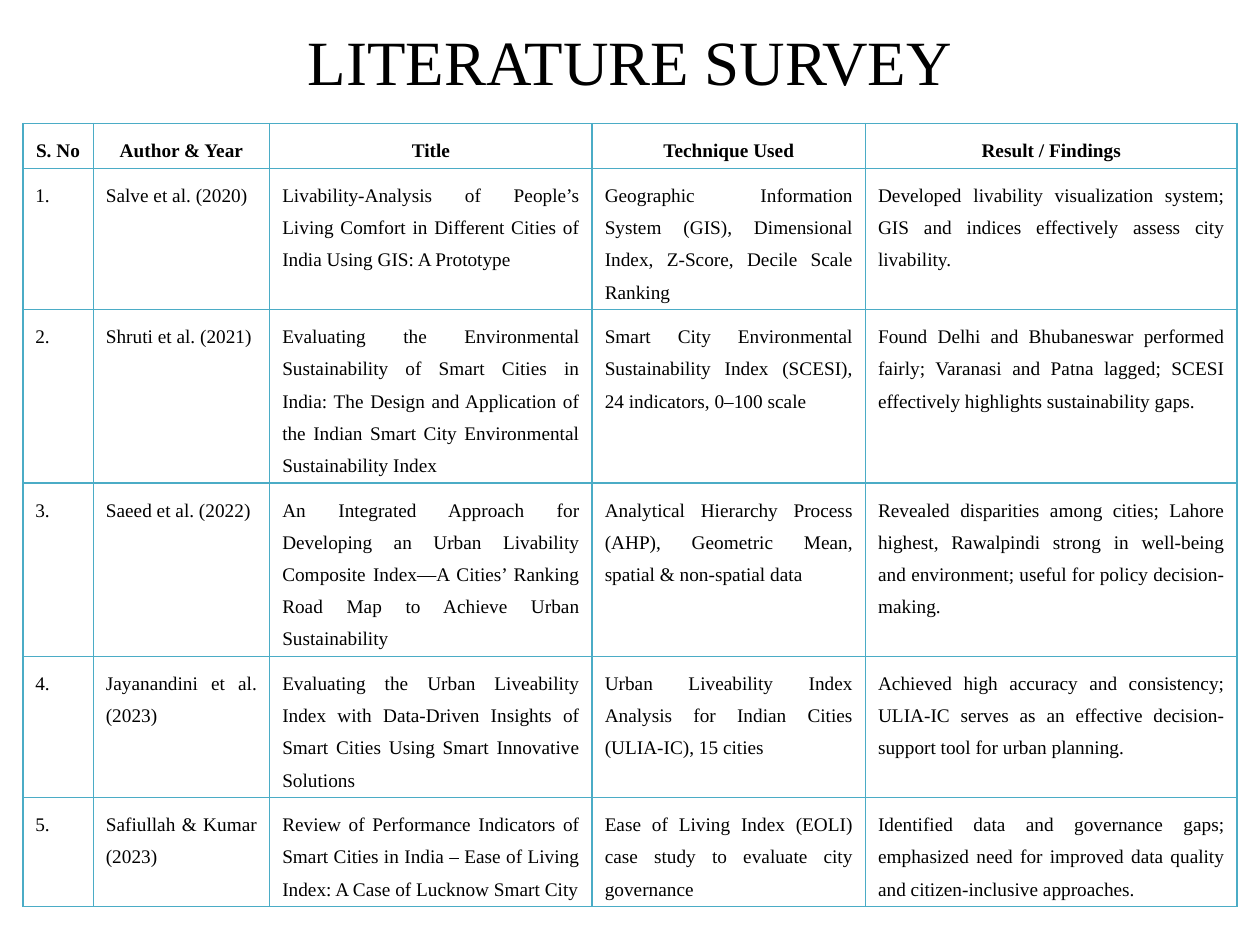
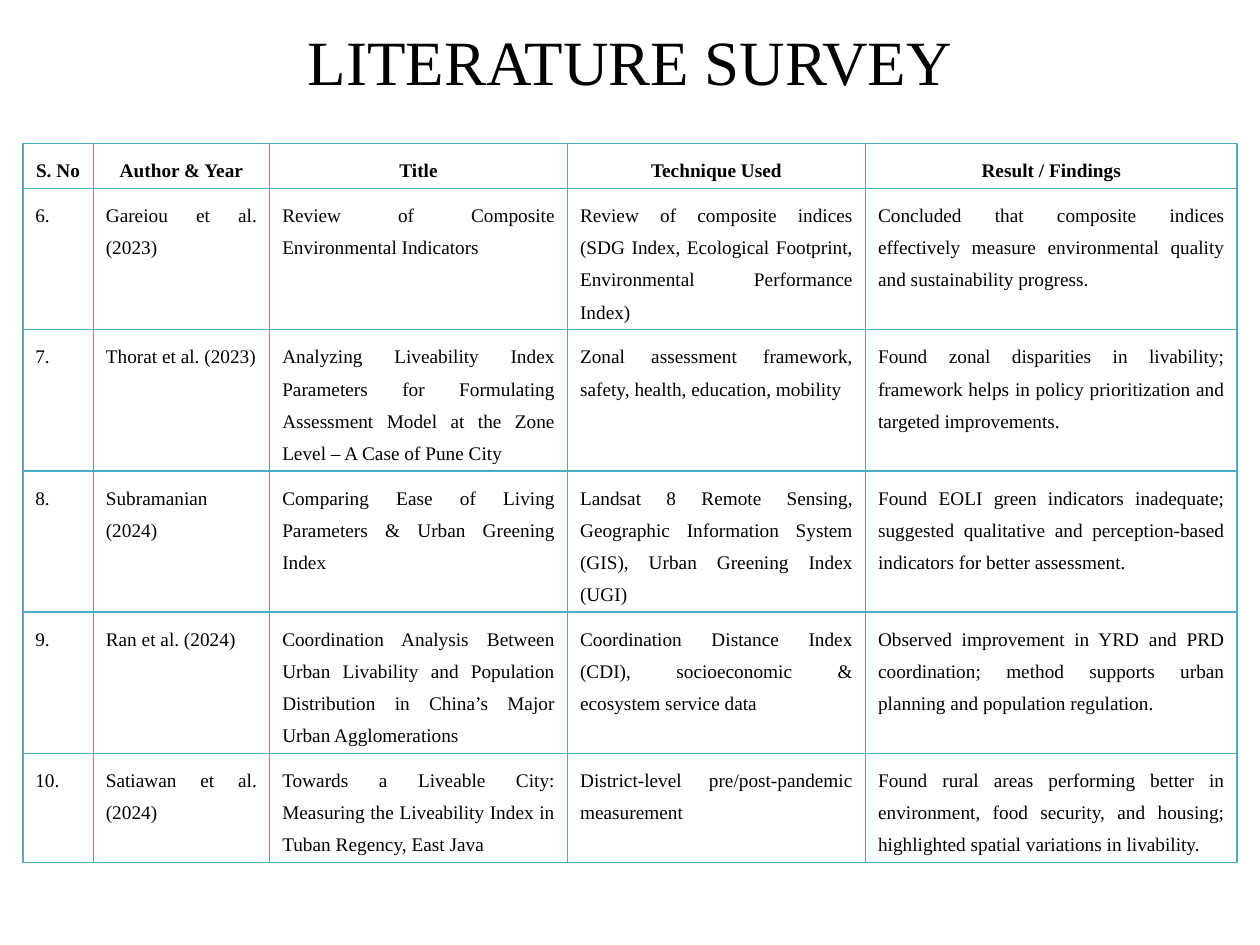
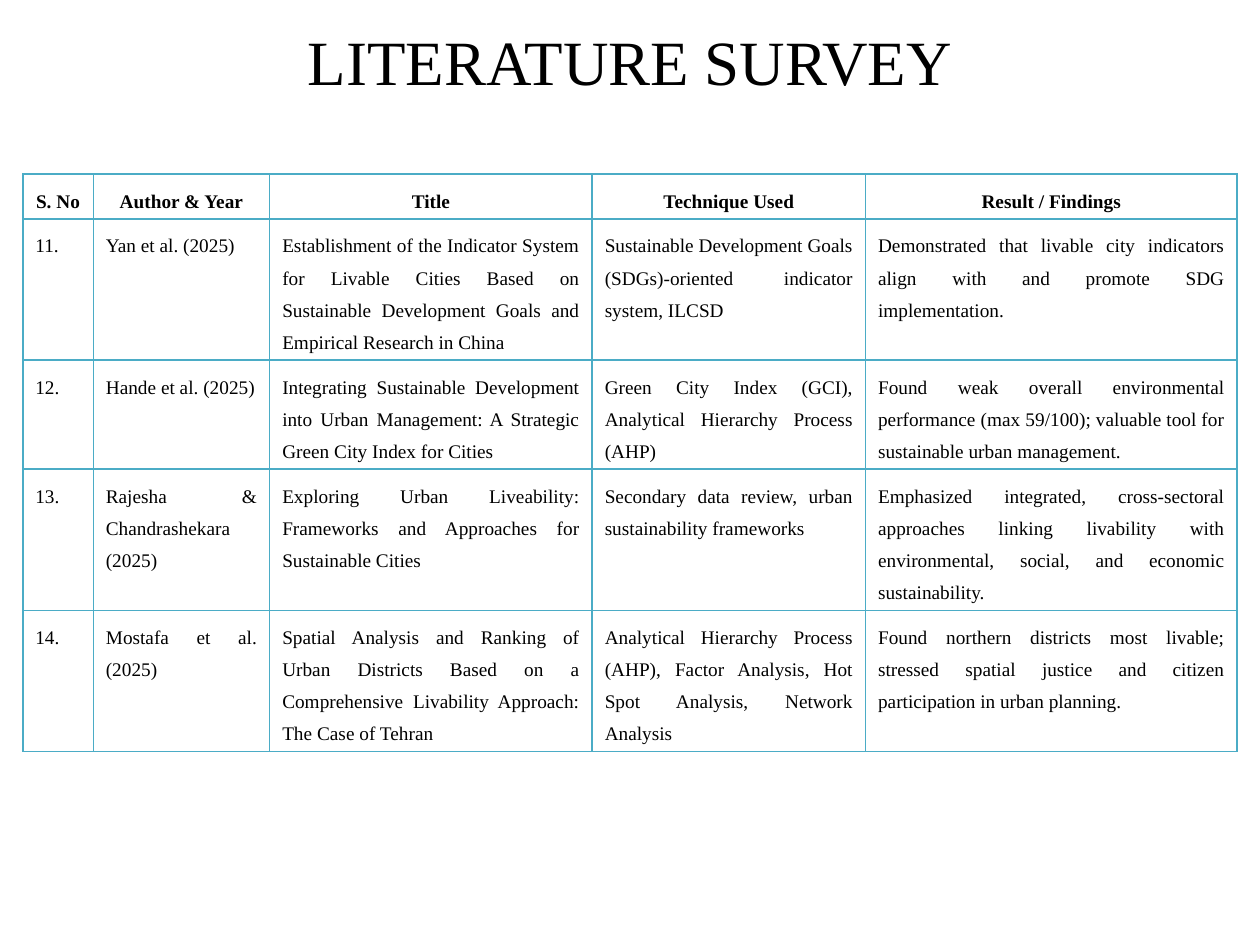
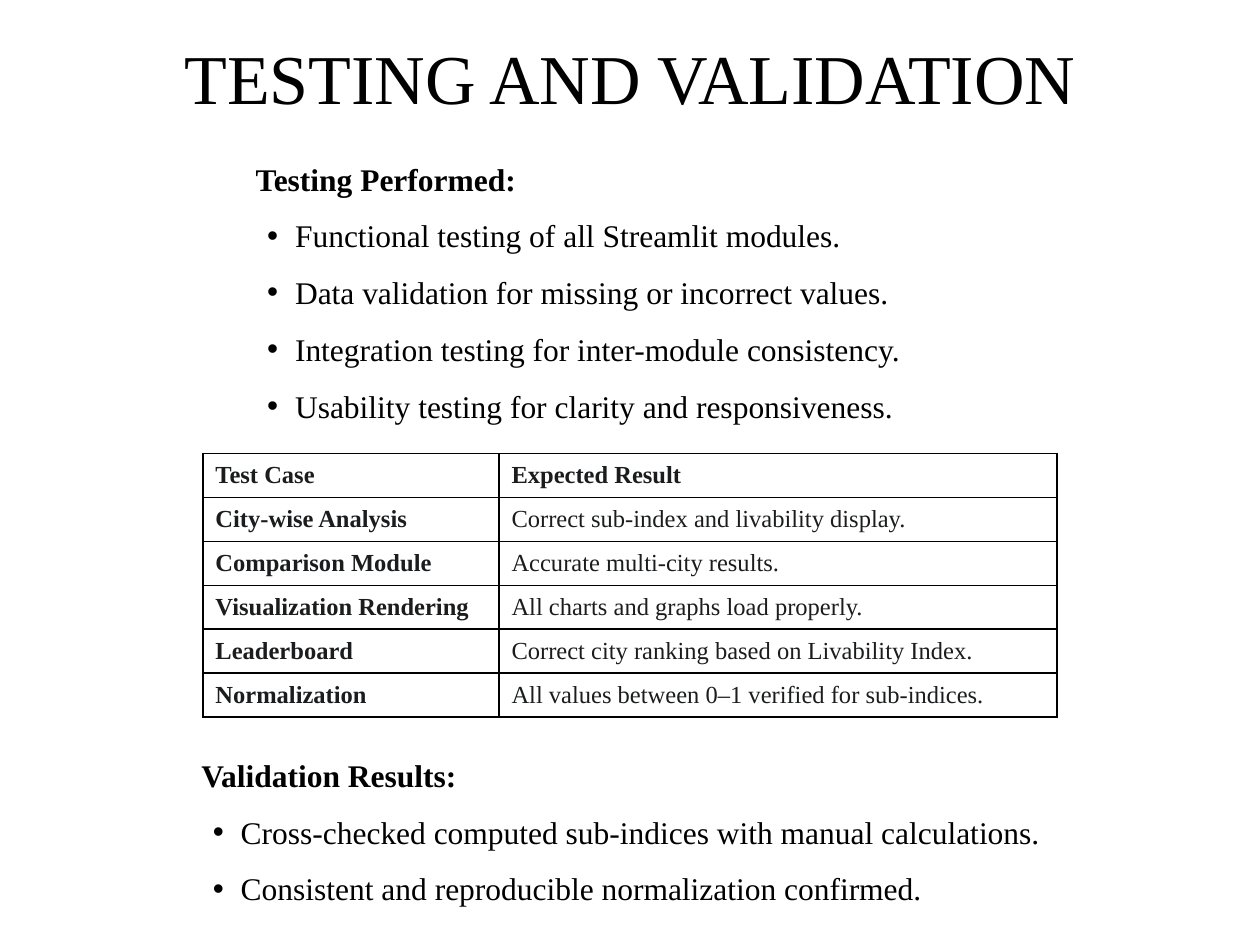
import pptx
import pptx.dml.color
import pptx.enum.text
import pptx.oxml
import pptx.oxml.ns
import pptx.util

Pt = pptx.util.Pt
RGBColor = pptx.dml.color.RGBColor
ALIGN = pptx.enum.text.PP_ALIGN
ANCHOR = pptx.enum.text.MSO_ANCHOR
AUTO_SIZE = pptx.enum.text.MSO_AUTO_SIZE

BLACK = RGBColor(0x00, 0x00, 0x00)
INK = RGBColor(0x1B, 0x1C, 0x1D)
TEAL = RGBColor(0x4B, 0xAC, 0xC6)
FONT = "Times New Roman"
NS = pptx.oxml.ns.nsdecls("a")

HEADINGS = ("S. No", "Author & Year", "Title", "Technique Used", "Result / Findings")
WIDE_TITLE = (40.3, 100.8, 184.3, 156.2, 212.4)
EVEN_MIDDLE = (40.3, 100.8, 170.2, 170.3, 212.4)
CELL_PADDING, LINE_HEIGHT = 7.2, 18.25

# Each survey slide: table top, column widths, text lines per row, entries
SURVEYS = [
    (70.6, WIDE_TITLE, (1, 4, 5, 5, 4, 3), [
        ("Salve et al. (2020)",
         "Livability-Analysis of People’s Living Comfort in Different Cities of India Using GIS: A Prototype",
         "Geographic Information System (GIS), Dimensional Index, Z-Score, Decile Scale Ranking",
         "Developed livability visualization system; GIS and indices effectively assess city livability."),
        ("Shruti et al. (2021)",
         "Evaluating the Environmental Sustainability of Smart Cities in India: The Design and "
         "Application of the Indian Smart City Environmental Sustainability Index",
         "Smart City Environmental Sustainability Index (SCESI), 24 indicators, 0–100 scale",
         "Found Delhi and Bhubaneswar performed fairly; Varanasi and Patna lagged; SCESI "
         "effectively highlights sustainability gaps."),
        ("Saeed et al. (2022)",
         "An Integrated Approach for Developing an Urban Livability Composite Index—A Cities’ "
         "Ranking Road Map to Achieve Urban Sustainability",
         "Analytical Hierarchy Process (AHP), Geometric Mean, spatial & non-spatial data",
         "Revealed disparities among cities; Lahore highest, Rawalpindi strong in well-being and "
         "environment; useful for policy decision-making."),
        ("Jayanandini et al. (2023)",
         "Evaluating the Urban Liveability Index with Data-Driven Insights of Smart Cities Using "
         "Smart Innovative Solutions",
         "Urban Liveability Index Analysis for Indian Cities (ULIA-IC), 15 cities",
         "Achieved high accuracy and consistency; ULIA-IC serves as an effective decision-support "
         "tool for urban planning."),
        ("Safiullah & Kumar (2023)",
         "Review of Performance Indicators of Smart Cities in India – Ease of Living Index: A Case "
         "of Lucknow Smart City",
         "Ease of Living Index (EOLI) case study to evaluate city governance",
         "Identified data and governance gaps; emphasized need for improved data quality and "
         "citizen-inclusive approaches."),
    ]),
    (82.1, EVEN_MIDDLE, (1, 4, 4, 4, 4, 3), [
        ("Gareiou et al. (2023)",
         "Review of Composite Environmental Indicators",
         "Review of composite indices (SDG Index, Ecological Footprint, Environmental Performance Index)",
         "Concluded that composite indices effectively measure environmental quality and "
         "sustainability progress."),
        ("Thorat et al. (2023)",
         "Analyzing Liveability Index Parameters for Formulating Assessment Model at the Zone "
         "Level – A Case of Pune City",
         "Zonal assessment framework, safety, health, education, mobility",
         "Found zonal disparities in livability; framework helps in policy prioritization and "
         "targeted improvements."),
        ("Subramanian (2024)",
         "Comparing Ease of Living Parameters & Urban Greening Index",
         "Landsat 8 Remote Sensing, Geographic Information System (GIS), Urban Greening Index (UGI)",
         "Found EOLI green indicators inadequate; suggested qualitative and perception-based "
         "indicators for better assessment."),
        ("Ran et al. (2024)",
         "Coordination Analysis Between Urban Livability and Population Distribution in China’s "
         "Major Urban Agglomerations",
         "Coordination Distance Index (CDI), socioeconomic & ecosystem service data",
         "Observed improvement in YRD and PRD coordination; method supports urban planning and "
         "population regulation."),
        ("Satiawan et al. (2024)",
         "Towards a Liveable City: Measuring the Liveability Index in Tuban Regency, East Java",
         "District-level pre/post-pandemic measurement",
         "Found rural areas performing better in environment, food security, and housing; "
         "highlighted spatial variations in livability."),
    ]),
    (99.4, WIDE_TITLE, (1, 4, 3, 4, 4), [
        ("Yan et al. (2025)",
         "Establishment of the Indicator System for Livable Cities Based on Sustainable "
         "Development Goals and Empirical Research in China",
         "Sustainable Development Goals (SDGs)-oriented indicator system, ILCSD",
         "Demonstrated that livable city indicators align with and promote SDG implementation."),
        ("Hande et al. (2025)",
         "Integrating Sustainable Development into Urban Management: A Strategic Green City Index for Cities",
         "Green City Index (GCI), Analytical Hierarchy Process (AHP)",
         "Found weak overall environmental performance (max 59/100); valuable tool for "
         "sustainable urban management."),
        ("Rajesha & Chandrashekara (2025)",
         "Exploring Urban Liveability: Frameworks and Approaches for Sustainable Cities",
         "Secondary data review, urban sustainability frameworks",
         "Emphasized integrated, cross-sectoral approaches linking livability with "
         "environmental, social, and economic sustainability."),
        ("Mostafa et al. (2025)",
         "Spatial Analysis and Ranking of Urban Districts Based on a Comprehensive Livability "
         "Approach: The Case of Tehran",
         "Analytical Hierarchy Process (AHP), Factor Analysis, Hot Spot Analysis, Network Analysis",
         "Found northern districts most livable; stressed spatial justice and citizen "
         "participation in urban planning."),
    ]),
]

TEST_CASES = [
    ("Test Case", "Expected Result"),
    ("City-wise Analysis", "Correct sub-index and livability display."),
    ("Comparison Module", "Accurate multi-city results."),
    ("Visualization Rendering", "All charts and graphs load properly."),
    ("Leaderboard", "Correct city ranking based on Livability Index."),
    ("Normalization", "All values between 0–1 verified for sub-indices."),
]

# Each text box: left, top, width, height, heading, bullets
NOTES = [
    (139, 77, 442.8, 170.6, "Testing Performed:", [
        "Functional testing of all Streamlit modules.",
        "Data validation for missing or incorrect values.",
        "Integration testing for inter-module consistency.",
        "Usability testing for clarity and responsiveness."]),
    (108, 417.6, 504, 101.5, "Validation Results:", [
        "Cross-checked computed sub-indices with manual calculations.",
        "Consistent and reproducible normalization confirmed."]),
]


def write(p, text, size, color=BLACK, bold=False, **paragraph_format):
    """Fill paragraph p with one formatted run."""
    for name, value in paragraph_format.items():
        setattr(p, name, value)
    r = p.add_run()
    r.text = text
    for name, value in {"name": FONT, "size": Pt(size), "bold": bold}.items():
        setattr(r.font, name, value)
    r.font.color.rgb = color


def add_grid(s, left, top, widths, heights, line_color):
    """Add an unfilled table with 1 pt borders around every cell."""
    shape = s.shapes.add_table(len(heights), len(widths), Pt(left), Pt(top),
                               Pt(sum(widths)), Pt(sum(heights)))
    table = shape.table
    table.first_row = table.horz_banding = False
    for column, width in zip(table.columns, widths):
        column.width = Pt(width)
    for row, height in zip(table.rows, heights):
        row.height = Pt(height)
    for cell in table.iter_cells():
        cell.fill.background()
        tcPr = cell._tc.get_or_add_tcPr()
        for i, side in enumerate("LRTB"):
            tcPr.insert(i, pptx.oxml.parse_xml(
                f'<a:ln{side} {NS} w="12700"><a:solidFill><a:srgbClr val="{line_color}"/>'
                f'</a:solidFill></a:ln{side}>'))
    return table


prs = pptx.Presentation()
prs.slide_width, prs.slide_height = Pt(720), Pt(540)

# Titles
slides = []
for text, size, height in [("LITERATURE SURVEY", 36, 49.7)] * 3 + [("TESTING AND VALIDATION", 40, 68.4)]:
    s = prs.slides.add_slide(prs.slide_layouts[5])
    title = s.shapes.title
    title.left, title.top, title.width, title.height = Pt(36), Pt(9.4), Pt(648), Pt(height)
    tf = title.text_frame
    tf.auto_size, tf.vertical_anchor = AUTO_SIZE.NONE, ANCHOR.MIDDLE
    write(tf.paragraphs[0], text, size, alignment=ALIGN.CENTER)
    slides.append(s)

# Literature survey tables, numbered on from slide to slide
number = 0
for s, (top, widths, line_counts, entries) in zip(slides, SURVEYS):
    heights = [CELL_PADDING + LINE_HEIGHT * n for n in line_counts]
    table = add_grid(s, 13, top, widths, heights, TEAL)
    for c, text in enumerate(HEADINGS):
        write(table.cell(0, c).text_frame.paragraphs[0], text, 11, bold=True,
              alignment=ALIGN.CENTER, line_spacing=1.5)
    for row, entry in enumerate(entries, 1):
        number += 1
        for c, text in enumerate((f"{number}.", *entry)):
            write(table.cell(row, c).text_frame.paragraphs[0], text, 11,
                  alignment=ALIGN.JUSTIFY, line_spacing=1.5)

# Test case table
s = slides[-1]
table = add_grid(s, 115.9, 259.2, (169.2, 319), [25.1] * len(TEST_CASES), BLACK)
for row, texts in enumerate(TEST_CASES):
    for c, text in enumerate(texts):
        cell = table.cell(row, c)
        cell.vertical_anchor = ANCHOR.MIDDLE
        cell.margin_top = cell.margin_bottom = Pt(4.5)
        write(cell.text_frame.paragraphs[0], text, 14, INK, bold=row == 0 or c == 0)

# Testing and validation notes
for left, top, width, height, heading, bullets in NOTES:
    tf = s.shapes.add_textbox(Pt(left), Pt(top), Pt(width), Pt(height)).text_frame
    tf.word_wrap, tf.auto_size = True, AUTO_SIZE.SHAPE_TO_FIT_TEXT
    write(tf.paragraphs[0], heading, 18, bold=True, alignment=ALIGN.JUSTIFY, line_spacing=1.5)
    for text in bullets:
        p = tf.add_paragraph()
        p.line_spacing = 1.5
        pPr = p._p.get_or_add_pPr()
        pPr.set("marL", str(Pt(22.5)))
        pPr.set("indent", str(-Pt(16)))
        for xml in (f'<a:buClr {NS}><a:srgbClr val="{BLACK}"/></a:buClr>',
                    f'<a:buFont {NS} typeface="Arial"/>',
                    f'<a:buChar {NS} char="•"/>'):
            pPr.append(pptx.oxml.parse_xml(xml))
        write(p, text, 18, alignment=ALIGN.JUSTIFY)

prs.save("out.pptx")
